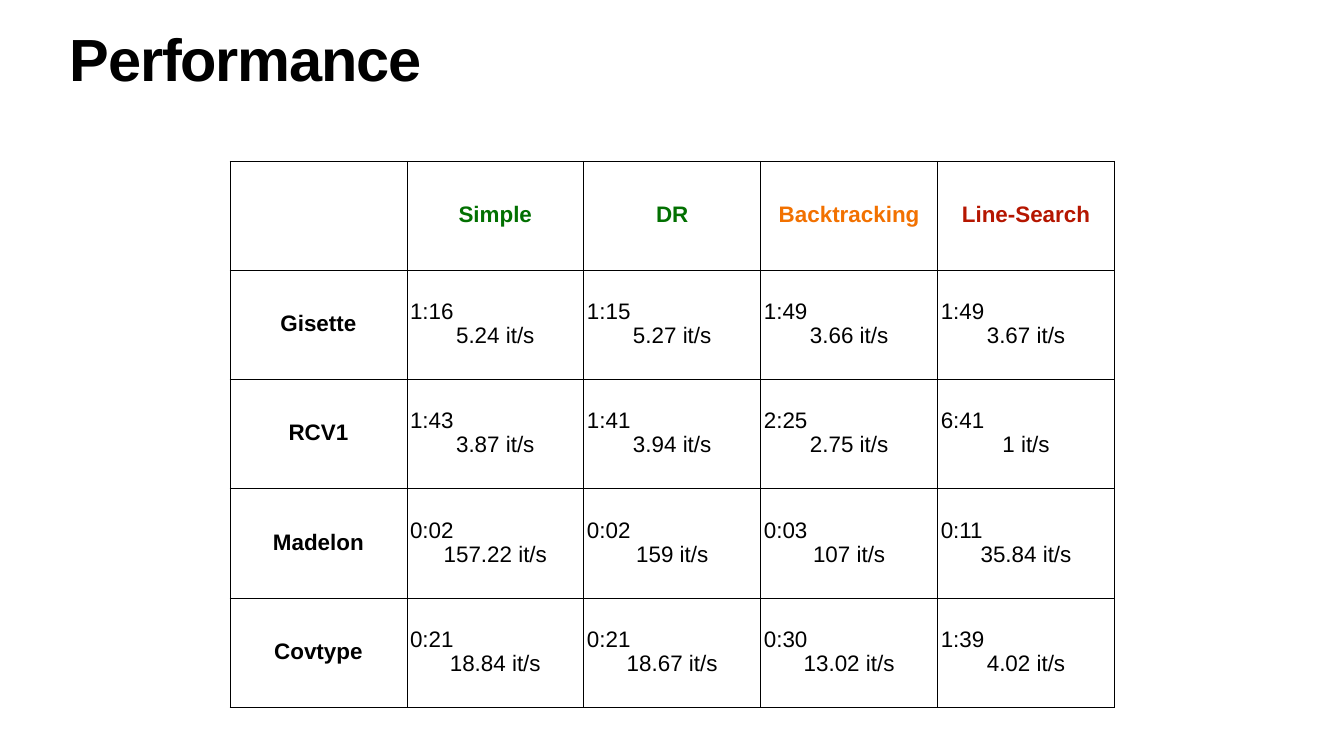
"""Build the performance table slide."""
from lxml import etree
from pptx import Presentation
from pptx.dml.color import RGBColor
from pptx.enum.text import MSO_ANCHOR, PP_ALIGN
from pptx.oxml.ns import qn
from pptx.util import Pt

PX = 9525
FONT = "Arial"
INSET = 6
BLACK = RGBColor(0x00, 0x00, 0x00)
GREEN = RGBColor(0x02, 0x70, 0x01)
ORANGE = RGBColor(0xF2, 0x71, 0x00)
RED = RGBColor(0xB5, 0x16, 0x00)
LEFT, CENTER = PP_ALIGN.LEFT, PP_ALIGN.CENTER
TOP, MIDDLE = MSO_ANCHOR.TOP, MSO_ANCHOR.MIDDLE

HEADS = [("Simple", GREEN), ("DR", GREEN), ("Backtracking", ORANGE), ("Line-Search", RED)]
RUNS = {
    "Gisette": [("1:16", "5.24"), ("1:15", "5.27"), ("1:49", "3.66"), ("1:49", "3.67")],
    "RCV1": [("1:43", "3.87"), ("1:41", "3.94"), ("2:25", "2.75"), ("6:41", "1")],
    "Madelon": [("0:02", "157.22"), ("0:02", "159"), ("0:03", "107"), ("0:11", "35.84")],
    "Covtype": [("0:21", "18.84"), ("0:21", "18.67"), ("0:30", "13.02"), ("1:39", "4.02")],
}


def px(*sizes):
    return [size * PX for size in sizes]


def write(frame, text, size=32, color=BLACK, bold=False, align=CENTER,
          line=0.9, before=None, track=None, more=False):
    para = frame.add_paragraph() if more else frame.paragraphs[0]
    para.alignment = align
    para.line_spacing = line
    if before:
        para.space_before = Pt(before)
    run = para.add_run()
    run.text = text
    font = run.font
    font.name, font.size, font.bold = FONT, Pt(size), bold
    font.color.rgb = color
    if track:
        run._r.get_or_add_rPr().set("spc", str(track))


def inset(item):
    item.margin_left = item.margin_right = INSET * PX
    item.margin_top = item.margin_bottom = INSET * PX


def add_title(slide, text):
    box = slide.shapes.add_textbox(*px(127, 62, 2307, 151))
    frame = box.text_frame
    frame.word_wrap = True
    frame.vertical_anchor = TOP
    inset(frame)
    write(frame, text, size=85, bold=True, align=LEFT, line=0.8, track=-170)


def border(cell):
    props = cell._tc.get_or_add_tcPr()
    for side in ("lnL", "lnR", "lnT", "lnB"):
        line = etree.SubElement(props, qn(f"a:{side}"), w=str(Pt(1)))
        fill = etree.SubElement(line, qn("a:solidFill"))
        etree.SubElement(fill, qn("a:srgbClr"), val=str(BLACK))


def add_grid(slide, rows, cols):
    wide, high = 337, 208
    shape = slide.shapes.add_table(rows, cols, *px(438, 307, cols * wide, rows * high))
    table = shape.table
    table.first_row = table.horz_banding = False
    for col in table.columns:
        col.width = wide * PX
    for row in table.rows:
        row.height = high * PX
    for cell in table.iter_cells():
        border(cell)
        cell.fill.background()
        cell.vertical_anchor = MIDDLE
        inset(cell)
    return table


def fill_grid(table):
    for col, (name, color) in enumerate(HEADS, 1):
        write(table.cell(0, col).text_frame, name, color=color, bold=True)
    for row, (name, pairs) in enumerate(RUNS.items(), 1):
        write(table.cell(row, 0).text_frame, name, bold=True)
        for col, (time, rate) in enumerate(pairs, 1):
            frame = table.cell(row, col).text_frame
            write(frame, time, align=LEFT)
            write(frame, f"{rate} it/s", before=2, more=True)


def main():
    deck = Presentation()
    deck.slide_width, deck.slide_height = px(2560, 1440)
    slide = deck.slides.add_slide(deck.slide_layouts[6])
    add_title(slide, "Performance")
    fill_grid(add_grid(slide, len(RUNS) + 1, len(HEADS) + 1))
    deck.save("out.pptx")


if __name__ == "__main__":
    main()
